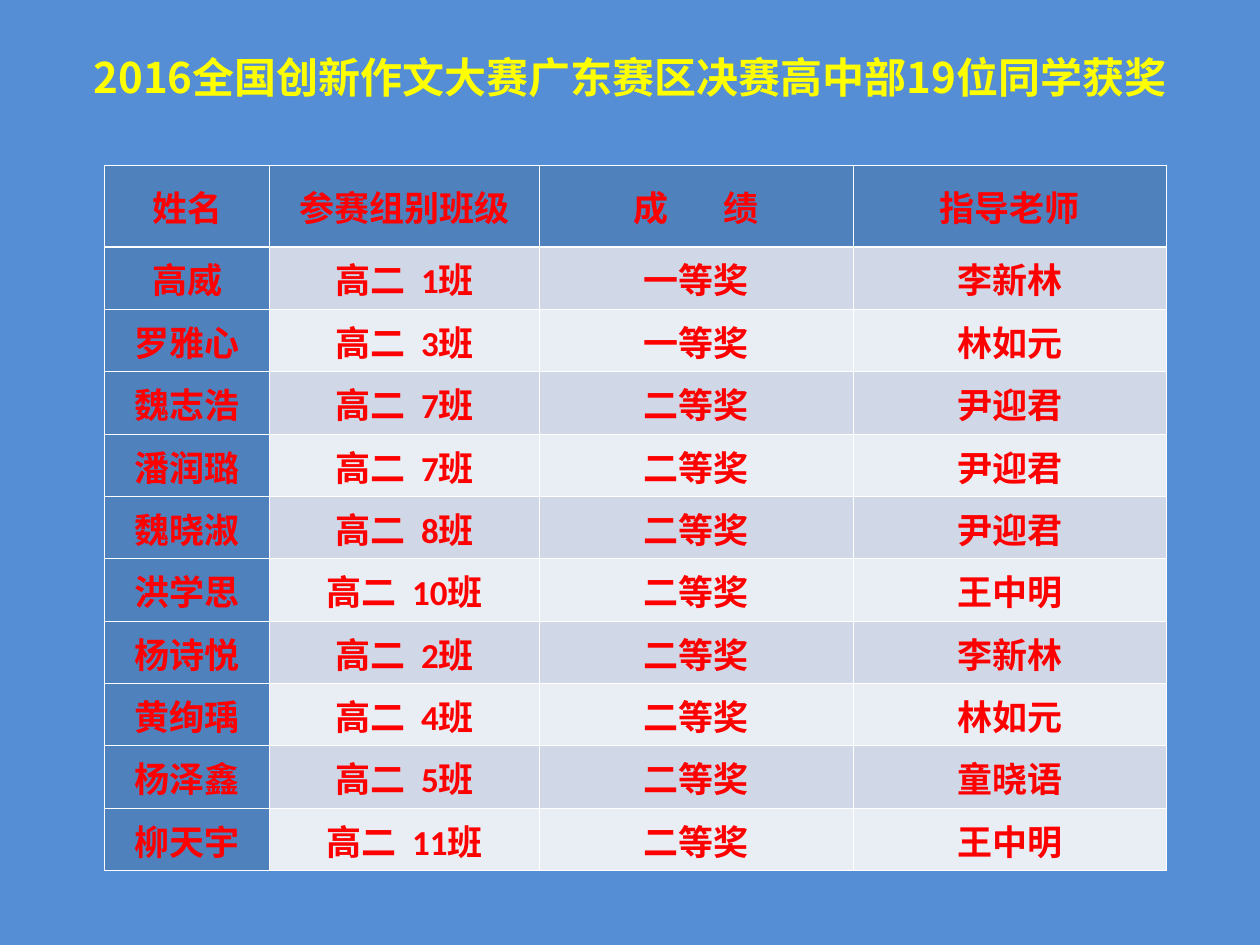
"""Build a slide listing the prize winners of an essay contest."""
from lxml.etree import SubElement
from pptx import Presentation
from pptx.dml.color import RGBColor
from pptx.enum.text import MSO_ANCHOR, PP_ALIGN
from pptx.oxml.ns import qn
from pptx.util import Inches, Pt

TITLE = "2016全国创新作文大赛广东赛区决赛高中部19位同学获奖"
HEADINGS = ("姓名", "参赛组别班级", "成 绩", "指导老师")
WINNERS = [
    ("高威", "高二 1班", "一等奖", "李新林"),
    ("罗雅心", "高二 3班", "一等奖", "林如元"),
    ("魏志浩", "高二 7班", "二等奖", "尹迎君"),
    ("潘润璐", "高二 7班", "二等奖", "尹迎君"),
    ("魏晓淑", "高二 8班", "二等奖", "尹迎君"),
    ("洪学思", "高二 10班", "二等奖", "王中明"),
    ("杨诗悦", "高二 2班", "二等奖", "李新林"),
    ("黄绚瑀", "高二 4班", "二等奖", "林如元"),
    ("杨泽鑫", "高二 5班", "二等奖", "童晓语"),
    ("柳天宇", "高二 11班", "二等奖", "王中明"),
]

SKY = RGBColor(0x55, 0x8E, 0xD5)
YELLOW = RGBColor(0xFF, 0xFF, 0x00)
RED = RGBColor(0xFF, 0x00, 0x00)
WHITE = RGBColor(0xFF, 0xFF, 0xFF)
HEADER_BLUE = RGBColor(0x4F, 0x81, 0xBD)
BANDS = (RGBColor(0xE9, 0xED, 0xF4), RGBColor(0xD0, 0xD8, 0xE8))

COLUMN_WIDTHS = (1.31, 2.14, 2.49, 2.49)
TABLE_LEFT, TABLE_TOP, TABLE_HEIGHT = 0.83, 1.31, 5.6
HEADER_HEIGHT = 0.65
THIN, THICK = Pt(0.45), Pt(1.47)
HEADING_GAP, CLASS_GAP = 27, 4.5


def style_paragraph(paragraph, size, typeface, color):
    paragraph.alignment = PP_ALIGN.CENTER
    font = paragraph.font
    font.size, font.name, font.bold = Pt(size), typeface, True
    font.color.rgb = color


def write_spaced(paragraph, text, gap):
    before, space, after = text.partition(" ")
    for part in filter(None, (before, space, after)):
        run = paragraph.add_run()
        run.text = part
        if part == " ":
            run.font._element.set("spc", str(int(gap * 100)))


def draw_borders(cell, row):
    widths = {
        "a:lnL": THIN,
        "a:lnR": THIN,
        "a:lnT": THICK if row == 1 else THIN,
        "a:lnB": THICK if row == 0 else THIN,
    }
    properties = cell._tc.get_or_add_tcPr()
    for side, width in widths.items():
        line = SubElement(properties, qn(side), w=str(int(width)))
        fill = SubElement(line, qn("a:solidFill"))
        SubElement(fill, qn("a:srgbClr"), val=str(WHITE))


def fill_cell(cell, text, row, column):
    cell.vertical_anchor = MSO_ANCHOR.MIDDLE
    if column == len(HEADINGS) - 1:
        cell.margin_left = cell.margin_right = Inches(0.01)
    draw_borders(cell, row)
    cell.fill.solid()
    is_heading = row == 0 or column == 0
    cell.fill.fore_color.rgb = HEADER_BLUE if is_heading else BANDS[row % 2]
    paragraph = cell.text_frame.paragraphs[0]
    write_spaced(paragraph, text, CLASS_GAP if row else HEADING_GAP)
    style_paragraph(paragraph, 20, "Calibri", RED)


def add_title(slide):
    title = slide.shapes.add_textbox(Inches(0.43), Inches(0.36), Inches(9.14), Inches(0.5))
    title.text_frame.word_wrap = True
    title.text_frame.text = TITLE
    style_paragraph(title.text_frame.paragraphs[0], 24, "Noto Sans CJK SC", YELLOW)


def add_winners(slide):
    rows = [HEADINGS, *WINNERS]
    table = slide.shapes.add_table(
        len(rows), len(HEADINGS), Inches(TABLE_LEFT), Inches(TABLE_TOP),
        Inches(sum(COLUMN_WIDTHS)), Inches(TABLE_HEIGHT)).table
    table.first_col = True
    for column, width in zip(table.columns, COLUMN_WIDTHS):
        column.width = Inches(width)
    winner_height = (TABLE_HEIGHT - HEADER_HEIGHT) / len(WINNERS)
    for r, texts in enumerate(rows):
        table.rows[r].height = Inches(winner_height if r else HEADER_HEIGHT)
        for c, text in enumerate(texts):
            fill_cell(table.cell(r, c), text, r, c)


def main():
    deck = Presentation()
    deck.slide_width, deck.slide_height = Inches(10), Inches(7.5)
    slide = deck.slides.add_slide(deck.slide_layouts[6])
    slide.background.fill.solid()
    slide.background.fill.fore_color.rgb = SKY
    add_title(slide)
    add_winners(slide)
    deck.save("out.pptx")


if __name__ == "__main__":
    main()
